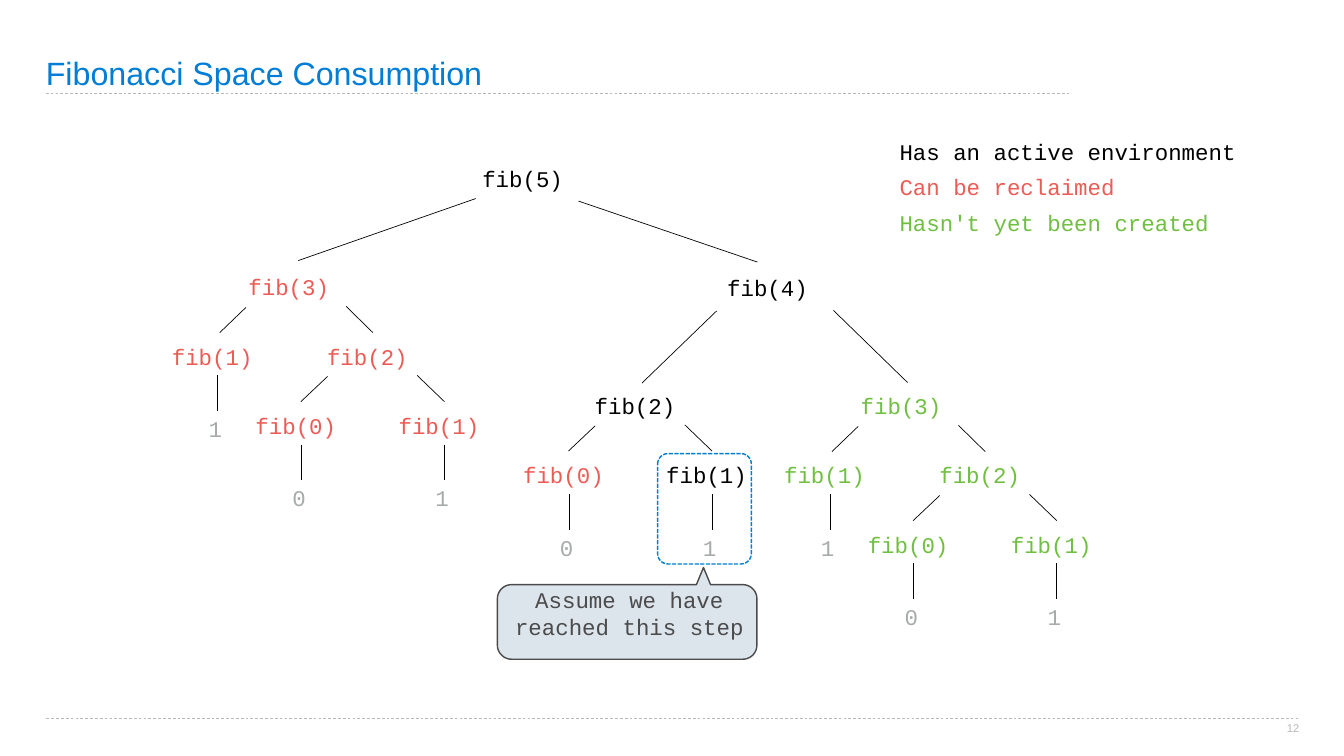
import math
from lxml import etree
from pptx import Presentation
from pptx import util as u
from pptx.dml.color import RGBColor
from pptx.enum import dml, shapes, text
from pptx.oxml.ns import qn

BLACK, RED, GREEN, GRAY = "000000", "EC5C57", "70BF41", "A6AAA9"
RULE, DARK, MONO = "B8B8B8", "4B4B4B", "Courier New"
NODE_W, NODE_H = 2.03, 0.71


def rgb(value):
    """Turn a hex string into a colour."""
    return RGBColor.from_string(value)


def inches(*values):
    """Turn numbers into lengths in inches."""
    return [u.Inches(v) for v in values]


def write(sp, words, color, size=32, font=MONO, inset=0.06, indent=0.09,
          anchor=text.MSO_ANCHOR.MIDDLE, align=text.PP_ALIGN.LEFT, wrap=True):
    """Fill a shape with one formatted paragraph."""
    tf = sp.text_frame
    frame = {"word_wrap": wrap, "vertical_anchor": anchor,
             "auto_size": text.MSO_AUTO_SIZE.NONE}
    frame.update({f"margin_{side}": u.Inches(inset)
                  for side in ("left", "top", "right", "bottom")})
    for key, value in frame.items():
        setattr(tf, key, value)
    p = tf.paragraphs[0]
    p.alignment = align
    p._p.get_or_add_pPr().set("marL", str(u.Inches(indent)))
    r = p.add_run()
    r.text = words
    for key, value in {"size": u.Pt(size), "name": font}.items():
        setattr(r.font, key, value)
    r.font.color.rgb = rgb(color)
    return p


def label(s, box, words, color, **fmt):
    """Add a text box."""
    write(s.shapes.add_textbox(*inches(*box)), words, color, **fmt)


def line(s, x1, y1, x2, y2, color=BLACK, dash=None):
    """Add a thin straight line."""
    sp = s.shapes.add_connector(shapes.MSO_CONNECTOR.STRAIGHT, *inches(x1, y1, x2, y2))
    sp.line.color.rgb = rgb(color)
    sp.line.width = u.Pt(1)
    sp.line.dash_style = dash
    etree.SubElement(sp._element.spPr, qn("a:effectLst"))


def outline(sp, color):
    """Give a shape a two-point outline without shadow."""
    sp.shadow.inherit = False
    sp.line.color.rgb = rgb(color)
    sp.line.width = u.Pt(2)


def node(s, x, y, n, color):
    """Place one call of the tree."""
    label(s, (x, y, NODE_W, NODE_H), f"fib({n})", color)


def leaf(s, x, y, n, color):
    """Place a base case with its value below."""
    node(s, x, y, n, color)
    line(s, x + 1.06, y + 0.74, x + 1.06, y + 1.45)
    label(s, (x + 0.73, y + 1.44, 0.57, NODE_H), str(n), GRAY)


def fib2(s, x, y, color, left, right):
    """Place the subtree of fib(2)."""
    node(s, x, y, 2, color)
    line(s, x + 0.16, y + 0.76, x - 0.37, y + 1.26)
    line(s, x + 1.94, y + 0.74, x + 2.48, y + 1.26)
    leaf(s, x - 1.42, y + 1.37, 0, left)
    leaf(s, x + 1.42, y + 1.37, 1, right)


def fib3(s, x, y, color):
    """Place the subtree of fib(3) in one colour."""
    node(s, x, y, 3, color)
    line(s, x + 0.1, y + 0.77, x - 0.42, y + 1.27)
    line(s, x + 2.09, y + 0.75, x + 2.62, y + 1.27)
    leaf(s, x - 1.52, y + 1.38, 1, color)
    fib2(s, x + 1.56, y + 1.38, color, color, color)


def tree(s, x, y):
    """Place the whole call tree below its root."""
    node(s, x, y, 5, BLACK)
    line(s, x + 0.02, y + 0.76, x - 3.5, y + 1.99)
    line(s, x + 2.06, y + 0.81, x + 5.61, y + 2.02)
    fib3(s, x - 4.64, y + 2.15, RED)
    node(s, x + 4.86, y + 2.17, 4, BLACK)
    line(s, x + 4.8, y + 2.99, x + 3.32, y + 4.42)
    line(s, x + 7.12, y + 2.98, x + 8.59, y + 4.41)
    fib2(s, x + 2.23, y + 4.51, BLACK, RED, BLACK)
    fib3(s, x + 7.51, y + 4.51, GREEN)


def frame(s, box):
    """Place the dashed frame around the current step."""
    sp = s.shapes.add_shape(shapes.MSO_SHAPE.ROUNDED_RECTANGLE, *inches(*box))
    sp.adjustments[0] = 0.11
    sp.fill.background()
    outline(sp, "007ECF")
    sp.line.dash_style = dml.MSO_LINE.SQUARE_DOT


def callout(s, x, y, w, h, words):
    """Place a rounded callout with a narrow tip on top."""
    radius, tip, half, rise = 0.28, x + 4.09, 0.14, 0.34
    top, right, bottom = y + rise, x + w, y + h
    corners = [(x + radius, top + radius, 270), (x + radius, bottom - radius, 180),
               (right - radius, bottom - radius, 90), (right - radius, top + radius, 0)]
    points = [(tip - half, top)]
    for cx, cy, start in corners:
        for step in range(0, 91, 10):
            angle = math.radians(start - step)
            points.append((cx + radius * math.cos(angle), cy + radius * math.sin(angle)))
    points.append((tip + half, top))
    builder = s.shapes.build_freeform(*inches(tip, y))
    builder.add_line_segments([inches(*point) for point in points], close=True)
    sp = builder.convert_to_shape()
    sp.fill.solid()
    sp.fill.fore_color.rgb = rgb("DCE4EC")
    outline(sp, DARK)
    write(sp, words, DARK, align=text.PP_ALIGN.CENTER)


def legend(s, x, y, w):
    """Place the colour legend."""
    entries = [("Has an active environment", BLACK), ("Can be reclaimed", RED),
               ("Hasn't yet been created", GREEN)]
    for i, (words, color) in enumerate(entries):
        label(s, (x, y + i * 0.705, w, NODE_H), words, color)


def header(s, box):
    """Place the title and its rule."""
    sp = s.shapes.title
    for key, value in zip(("left", "top", "width", "height"), inches(*box)):
        setattr(sp, key, value)
    p = write(sp, "Fibonacci Space Consumption", "007DD6", size=46, font="Arial",
              inset=0, indent=0, anchor=text.MSO_ANCHOR.BOTTOM)
    p.line_spacing = 0.9
    x, y, w, h = box
    line(s, x, y + h + 0.03, x + w + 0.04, y + h + 0.03, RULE, dml.MSO_LINE.DASH)


def footer(s, x, y, w):
    """Place the bottom rule and the page number."""
    line(s, x, y, x + w, y, RULE, dml.MSO_LINE.DASH)
    label(s, (x + w - 0.24, y + 0.06, 0.24, 0.24), "12", RULE, size=16, font="Arial",
          inset=0, indent=0, anchor=text.MSO_ANCHOR.TOP,
          align=text.PP_ALIGN.CENTER, wrap=False)


def main():
    """Build the slide and save it."""
    prs = Presentation()
    prs.slide_width, prs.slide_height = inches(26.67, 15)
    s = prs.slides.add_slide(prs.slide_layouts[5])
    header(s, (0.91, 0, 20.31, 1.83))
    footer(s, 0.92, 14.26, 24.86)
    frame(s, (13.05, 9, 1.86, 2.19))
    callout(s, 9.87, 11.26, 5.15, 1.82, "Assume we have reached this step")
    tree(s, 9.42, 3.18)
    legend(s, 17.7, 2.65, 7.74)
    prs.save("out.pptx")


if __name__ == "__main__":
    main()
